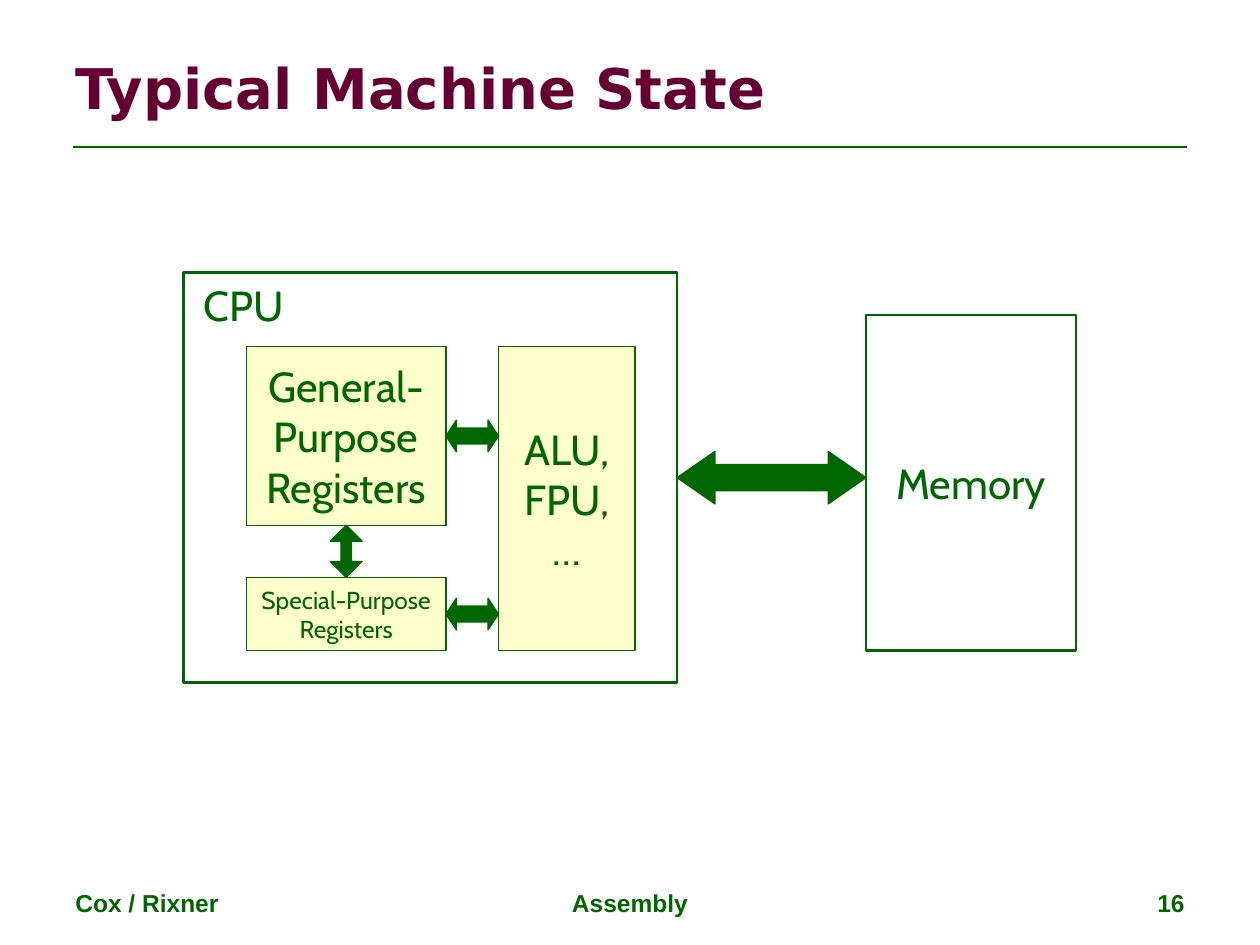
from dataclasses import dataclass

from pptx import Presentation
from pptx import util as u
from pptx.dml.color import RGBColor
from pptx.enum import shapes, text
from lxml import etree
from pptx.oxml.ns import qn

HUES = {"green": "006600", "wine": "660033", "cream": "FFFFCC"}
KIND = shapes.MSO_SHAPE
LEFT, MID, RIGHT = text.PP_ALIGN.LEFT, text.PP_ALIGN.CENTER, text.PP_ALIGN.RIGHT
TOP, MIDDLE = text.MSO_ANCHOR.TOP, text.MSO_ANCHOR.MIDDLE


@dataclass
class Box:
    """A part of the machine, in centimetres."""
    x: float
    y: float
    w: float
    h: float
    words: str = ""
    size: int = 24
    fill: str = ""
    line: float = 0.75

    @property
    def right(self) -> float:
        return self.x + self.w

    @property
    def base(self) -> float:
        return self.y + self.h


@dataclass
class Label:
    """Free text, in centimetres."""
    words: str
    x: float
    y: float
    w: float
    h: float
    size: int = 14
    font: str = "Arial"
    hue: str = "green"
    bold: bool = True
    align: text.PP_ALIGN = LEFT
    anchor: text.MSO_ANCHOR = TOP
    wrap: bool = True


def tint(name: str) -> RGBColor:
    return RGBColor.from_string(HUES[name])


def write(frame, words: str, size: int, font: str, hue: str, bold: bool,
          align, anchor, wrap: bool) -> None:
    frame.text = words
    frame.word_wrap = wrap
    frame.vertical_anchor = anchor
    for para in frame.paragraphs:
        para.alignment = align
        for run in para.runs:
            run.font.size = u.Pt(size)
            run.font.name = font
            run.font.bold = bold
            run.font.color.rgb = tint(hue)


def draw_shape(slide, kind, x: float, y: float, w: float, h: float,
               fill: str, line: float):
    shape = slide.shapes.add_shape(kind, u.Cm(x), u.Cm(y), u.Cm(w), u.Cm(h))
    shape.shadow.inherit = False
    if fill:
        shape.fill.solid()
        shape.fill.fore_color.rgb = tint(fill)
    else:
        shape.fill.background()
    shape.line.color.rgb = tint("green")
    shape.line.width = u.Pt(line)
    return shape


def draw_box(slide, box: Box) -> None:
    shape = draw_shape(slide, KIND.RECTANGLE, box.x, box.y, box.w, box.h,
                       box.fill, box.line)
    if box.words:
        write(shape.text_frame, box.words, box.size, "Cabin", "green", False,
              MID, MIDDLE, False)


def draw_label(slide, item: Label) -> None:
    area = slide.shapes.add_textbox(u.Cm(item.x), u.Cm(item.y),
                                    u.Cm(item.w), u.Cm(item.h))
    write(area.text_frame, item.words, item.size, item.font, item.hue,
          item.bold, item.align, item.anchor, item.wrap)


def link_across(slide, start: Box, end: Box, thick: float, head: float) -> None:
    """Fill the gap to the right of start, at its middle."""
    mid = start.y + start.h / 2
    arrow = draw_shape(slide, KIND.LEFT_RIGHT_ARROW, start.right, mid - thick / 2,
                       end.x - start.right, thick, "green", 0.75)
    arrow.adjustments[1] = head


def link_down(slide, start: Box, end: Box, thick: float, head: float) -> None:
    """Fill the gap below start, at its middle."""
    mid = start.x + start.w / 2
    arrow = draw_shape(slide, KIND.UP_DOWN_ARROW, mid - thick / 2, start.base,
                       thick, end.y - start.base, "green", 0.75)
    arrow.adjustments[1] = head


def draw_rule(slide, x: float, end: float, y: float) -> None:
    rule = slide.shapes.add_connector(shapes.MSO_CONNECTOR.STRAIGHT,
                                      u.Cm(x), u.Cm(y), u.Cm(end), u.Cm(y))
    rule.line.color.rgb = tint("green")
    rule.line.width = u.Pt(1.5)
    etree.SubElement(rule.element.spPr, qn("a:effectLst"))


def main() -> None:
    deck = Presentation()
    deck.slide_width, deck.slide_height = u.Cm(25.4), u.Cm(19.05)
    slide = deck.slides.add_slide(deck.slide_layouts[6])

    # Title, rule and footer
    draw_rule(slide, 1.48, 23.92, 2.96)
    foot = 17.78
    for item in (
        Label("Cox / Rixner", 1.27, foot, 5.93, 0.89),
        Label("Assembly", 8.68, foot, 8.04, 0.89, align=MID),
        Label("16", 18.2, foot, 5.93, 0.89, align=RIGHT),
        Label("Typical Machine State", 1.27, 0.76, 22.86, 1.98, 32,
              "DejaVu Sans", "wine", anchor=MIDDLE),
    ):
        draw_label(slide, item)

    # Machine parts
    cpu = Box(3.7, 5.5, 9.95, 8.26, line=1.5)
    memory = Box(17.46, 6.35, 4.23, 6.77, "Memory", line=1.5)
    general = Box(4.97, 6.99, 4.02, 3.6, "General-\nPurpose\nRegisters",
                  fill="cream")
    special = Box(4.97, 11.64, 4.02, 1.48, "Special-Purpose\nRegisters", 14,
                  "cream")
    units = Box(10.05, 6.99, 2.75, 6.13, "ALU,\nFPU,\n…", fill="cream")
    for box in (cpu, memory, general, special, units):
        draw_box(slide, box)
    draw_label(slide, Label("CPU", 3.86, 5.5, 2.16, 1.27, 24, "Cabin",
                            bold=False, wrap=False))

    # Data paths
    link_across(slide, cpu, memory, 1.06, 0.72)
    for start in (general, special):
        link_across(slide, start, units, 0.64, 0.33)
    link_down(slide, general, special, 0.64, 0.33)

    deck.save("out.pptx")


if __name__ == "__main__":
    main()
